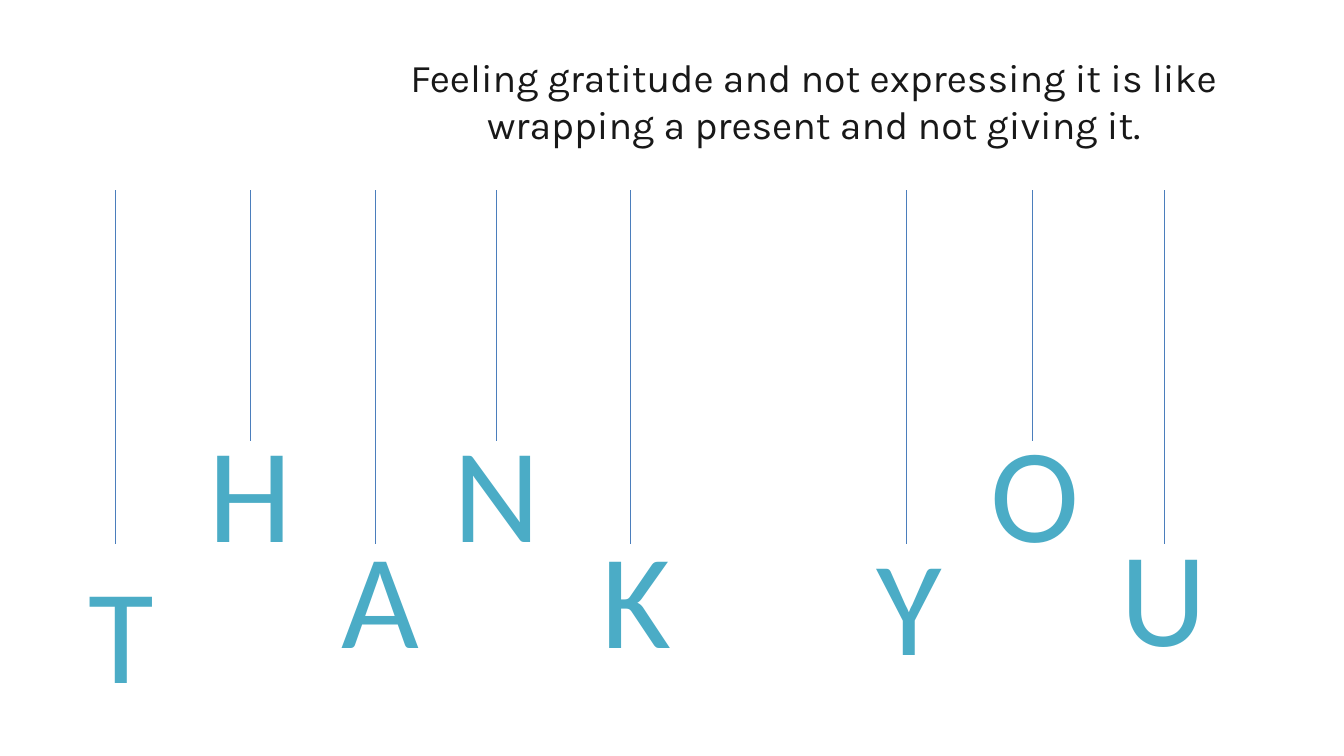
"""Build a closing slide with the letters of THANK YOU hanging from threads."""
from lxml import etree
from pptx import Presentation
from pptx.dml.color import RGBColor
from pptx.enum.shapes import MSO_CONNECTOR
from pptx.enum.text import MSO_AUTO_SIZE, PP_ALIGN
from pptx.oxml.ns import qn
from pptx.util import Inches, Pt

STRAIGHT = MSO_CONNECTOR.STRAIGHT
CENTER = PP_ALIGN.CENTER
FIT_SHAPE = MSO_AUTO_SIZE.SHAPE_TO_FIT_TEXT
THREAD_BLUE = RGBColor(0x4B, 0x7E, 0xBC)
TEAL = RGBColor(0x4B, 0xAC, 0xC6)
INK = RGBColor(0x18, 0x18, 0x18)

QUOTE = ("Feeling gratitude and not expressing it is like "
         "wrapping a present and not giving it.")
THREAD_TOP, SHORT_END, LONG_END = 1.89, 4.38, 5.4
LETTER_HEIGHT = 1.72
# letter, thread x, thread end, letter left, letter top, letter width
LETTERS = [
    ("T", 1.15, LONG_END, 0.77, 5.4, 0.86),
    ("H", 2.48, SHORT_END, 1.96, 4, 1.04),
    ("A", 3.72, LONG_END, 3.28, 5.05, 0.98),
    ("N", 4.92, SHORT_END, 4.39, 4, 1.07),
    ("K", 6.25, LONG_END, 5.86, 5.05, 0.9),
    ("Y", 8.99, LONG_END, 8.59, 5.12, 0.86),
    ("O", 10.24, SHORT_END, 9.72, 4, 1.09),
    ("U", 11.55, LONG_END, 11.01, 5.03, 1.07),
]


def add_thread(s, x, end):
    line = s.shapes.add_connector(
        STRAIGHT, Inches(x), Inches(THREAD_TOP), Inches(x), Inches(end))
    line.line.color.rgb = THREAD_BLUE
    line.line.width = Pt(0.75)
    etree.SubElement(line._element.spPr, qn("a:effectLst"))


def add_text(s, text, box, font, size, color, wrap):
    tf = s.shapes.add_textbox(*map(Inches, box)).text_frame
    tf.word_wrap = wrap
    tf.auto_size = FIT_SHAPE
    p = tf.paragraphs[0]
    p.text = text
    p.alignment = CENTER
    p.font.name = font
    p.font.size = Pt(size)
    p.font.color.rgb = color


def main():
    prs = Presentation()
    prs.slide_width, prs.slide_height = Inches(13.33), Inches(7.5)
    s = prs.slides.add_slide(prs.slide_layouts[6])
    for letter, x, end, left, top, width in LETTERS:
        add_thread(s, x, end)
        add_text(s, letter, (left, top, width, LETTER_HEIGHT),
                 "Calibri", 96, TEAL, False)
    add_text(s, QUOTE, (3.28, 0.48, 9.58, 1.35), "Karla", 28, INK, True)
    prs.save("out.pptx")


if __name__ == "__main__":
    main()
